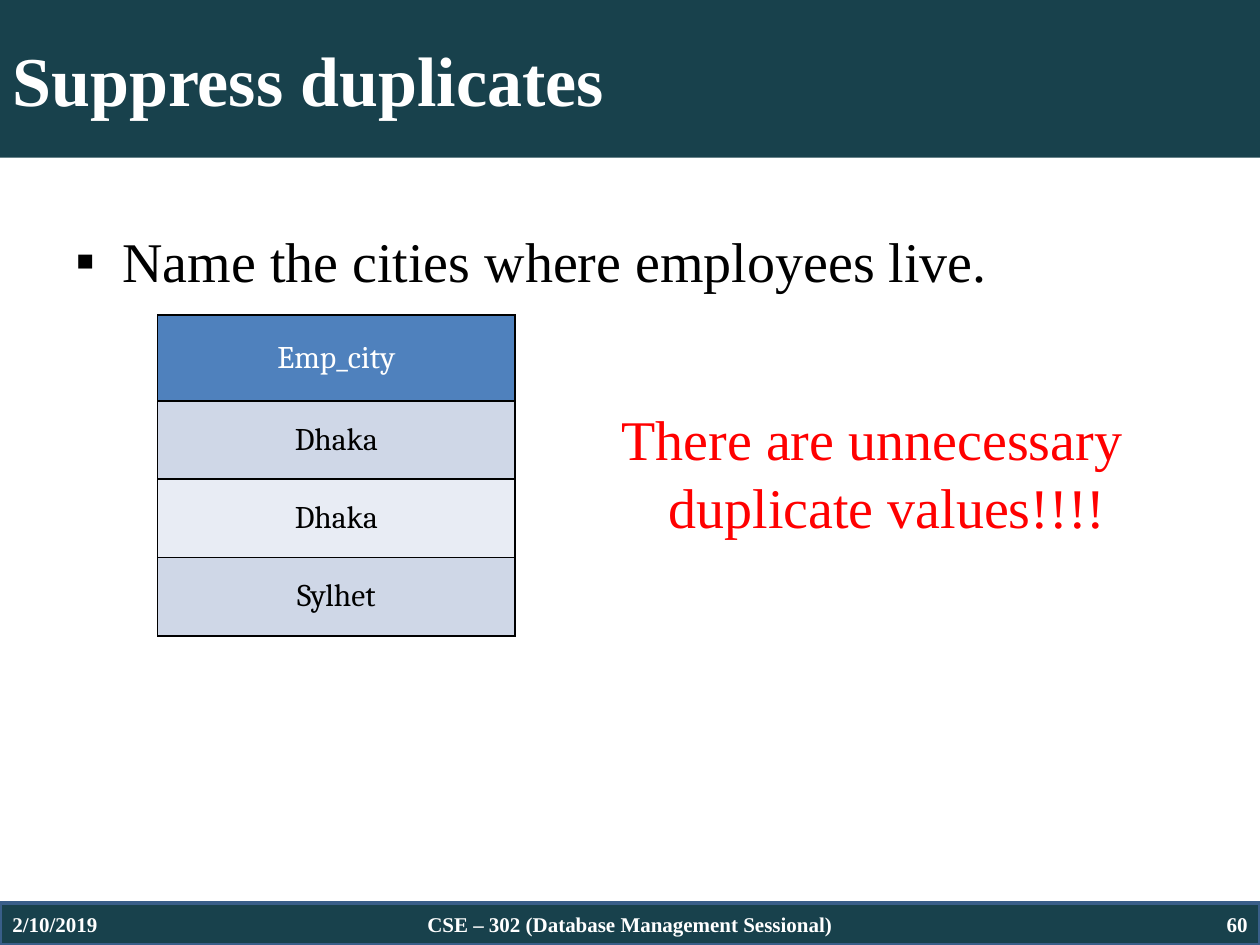
import pptx
import pptx.util
import pptx.dml.color
import pptx.enum.shapes
import pptx.enum.text
import pptx.oxml.ns
import lxml.etree
from dataclasses import dataclass

Cm = pptx.util.Cm
Pt = pptx.util.Pt
Align = pptx.enum.text.PP_ALIGN
Anchor = pptx.enum.text.MSO_ANCHOR
qn = pptx.oxml.ns.qn


@dataclass(frozen=True)
class Theme:
    bar: str = "18414C"
    edge: str = "395E89"
    head: str = "4F81BD"
    bands: tuple = ("CFD7E7", "E8ECF4")
    white: str = "FFFFFF"
    black: str = "000000"
    alert: str = "FF0000"
    serif: str = "Times New Roman"
    cell: str = "Cambria"
    title: int = 40
    body: int = 32
    table: int = 18
    foot: int = 12


theme = Theme()


def color(code):
    return pptx.dml.color.RGBColor.from_string(code)


def style(frame, text, size, ink, font=theme.serif, bold=False, align=Align.LEFT):
    """Fill a text frame with one evenly formatted paragraph."""
    frame.text = text
    para = frame.paragraphs[0]
    para.alignment = align
    face = para.runs[0].font
    face.name, face.size, face.bold = font, Pt(size), bold
    face.color.rgb = color(ink)
    return para


def add_bar(slide, top, height, edge=None):
    """Full-width dark band."""
    bar = slide.shapes.add_shape(pptx.enum.shapes.MSO_SHAPE.RECTANGLE,
                                 0, Cm(top), Cm(25.4), Cm(height))
    bar.shadow.inherit = False
    bar.fill.solid()
    bar.fill.fore_color.rgb = color(theme.bar)
    if edge:
        bar.line.color.rgb = color(edge)
        bar.line.width = Pt(2)
    else:
        bar.line.fill.background()
    return bar


def add_text(slide, box, text, size, ink, anchor=Anchor.TOP, **look):
    frame = slide.shapes.add_textbox(*map(Cm, box)).text_frame
    frame.word_wrap = True
    frame.vertical_anchor = anchor
    return style(frame, text, size, ink, **look)


def hang(para, mark=None):
    """Hanging indent, with a bullet if a mark is given."""
    para.space_before = Pt(6)
    props = para._p.get_or_add_pPr()
    props.set("marL", str(Cm(0.95)))
    props.set("indent", str(-Cm(0.95)))
    if mark:
        tint = lxml.etree.SubElement(props, qn("a:buClr"))
        lxml.etree.SubElement(tint, qn("a:srgbClr"), val=theme.black)
        lxml.etree.SubElement(props, qn("a:buFont"), typeface="Arial")
        lxml.etree.SubElement(props, qn("a:buChar"), char=mark)


def frame_cell(cell):
    """Thin black border on all four sides, placed before the fill."""
    props = cell._tc.get_or_add_tcPr()
    for spot, side in enumerate(("a:lnL", "a:lnR", "a:lnT", "a:lnB")):
        line = lxml.etree.Element(qn(side), w=str(Pt(1)))
        fill = lxml.etree.SubElement(line, qn("a:solidFill"))
        lxml.etree.SubElement(fill, qn("a:srgbClr"), val=theme.black)
        props.insert(spot, line)


def add_table(slide, left, top, width, names, heights):
    table = slide.shapes.add_table(len(names), 1, Cm(left), Cm(top), Cm(width),
                                   Cm(sum(heights))).table
    for row, (name, height) in enumerate(zip(names, heights)):
        table.rows[row].height = Cm(height)
        cell = table.cell(row, 0)
        cell.vertical_anchor = Anchor.MIDDLE
        cell.fill.solid()
        cell.fill.fore_color.rgb = color(theme.bands[(row - 1) % 2] if row else theme.head)
        style(cell.text_frame, name, theme.table,
              theme.black if row else theme.white, theme.cell, align=Align.CENTER)
        frame_cell(cell)


def main():
    deck = pptx.Presentation()
    deck.slide_width, deck.slide_height = Cm(25.4), Cm(19.05)
    slide = deck.slides.add_slide(deck.slide_layouts[6])

    # Title band
    title = add_bar(slide, 0, 3.18).text_frame
    title.vertical_anchor = Anchor.MIDDLE
    title.word_wrap = True
    style(title, "Suppress duplicates", theme.title, theme.white, bold=True)

    # Question, its result and the remark
    ask = add_text(slide, (1.27, 4.45, 22.86, 12.57),
                   "Name the cities where employees live.", theme.body, theme.black)
    hang(ask, "▪")
    add_table(slide, 3.18, 6.35, 7.2, ("Emp_city", "Dhaka", "Dhaka", "Sylhet"),
              (1.73, 1.58, 1.58, 1.58))
    note = add_text(slide, (12.28, 8.04, 11, 7.42),
                    "There are unnecessary duplicate values!!!!", theme.body, theme.alert)
    hang(note)

    # Footer
    add_bar(slide, 18.2, 0.85, theme.edge)
    for left, width, text, align in (
            (0, 5.93, "2/10/2019", Align.LEFT),
            (7.2, 11, "CSE – 302 (Database Management Sessional)", Align.CENTER),
            (19.47, 5.93, "60", Align.RIGHT)):
        add_text(slide, (left, 18.2, width, 0.85), text, theme.foot, theme.white,
                 Anchor.MIDDLE, bold=True, align=align)

    deck.save("out.pptx")


if __name__ == "__main__":
    main()
